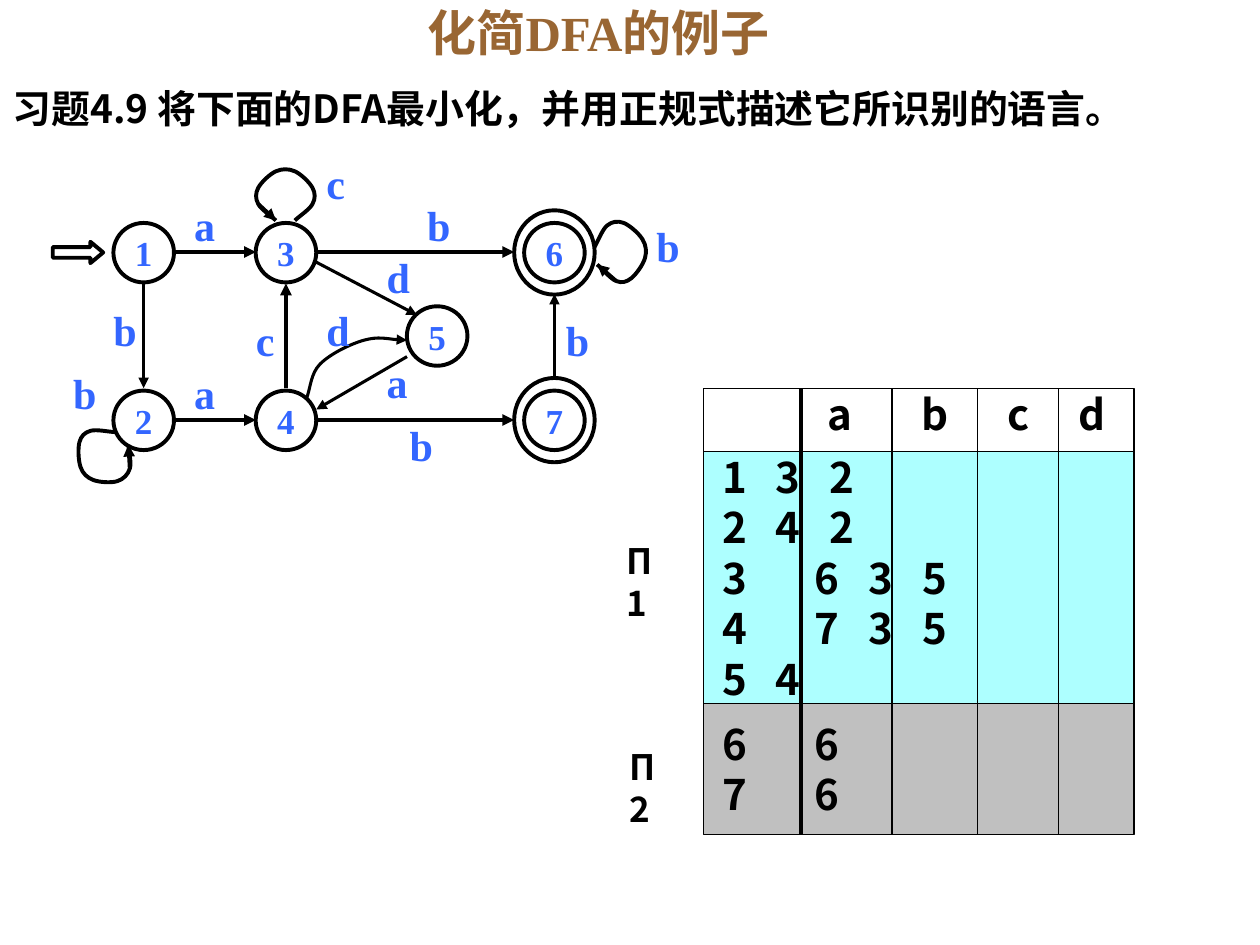
from dataclasses import dataclass
from typing import Optional

from lxml.etree import SubElement
from pptx import Presentation
from pptx.dml.color import RGBColor
from pptx.enum.shapes import MSO_CONNECTOR, MSO_SHAPE
from pptx.enum.text import MSO_ANCHOR, MSO_AUTO_SIZE, PP_ALIGN
from pptx.oxml.ns import qn
from pptx.util import Pt

COLORS = {"title": "996633", "label": "3366FF", "ink": "000000",
          "group1": "ADFFFF", "group2": "C0C0C0"}
SERIF, SANS = "Times New Roman", "Noto Sans CJK SC"


@dataclass
class State:
    name: str
    x: float
    y: float
    final: bool = False


@dataclass
class Edge:
    start: tuple
    end: tuple
    width: float = 2.25
    arrow: bool = True


@dataclass
class Label:
    text: str
    x: float
    y: float
    width: float = 13.7


STATES = [State("1", 82.1, 144.4), State("3", 163.4, 144.4), State("6", 316.8, 144.4, True),
          State("5", 249.8, 192), State("2", 82.1, 240.2), State("4", 163.4, 240.2),
          State("7", 316.8, 240.2, True)]
EDGES = [Edge((99.4, 144), (146.2, 144)), Edge((180.7, 144), (293.8, 144)),
         Edge((99.4, 240), (146.2, 240)), Edge((180.7, 240), (293.8, 240)),
         Edge((163.4, 221.8), (163.4, 162)), Edge((82.1, 162), (82.1, 221.8), 1.75),
         Edge((316.8, 216), (316.8, 168), 1.75), Edge((180.7, 149.8), (238.3, 180), 1.75),
         Edge((232.6, 203.8), (180.7, 234), 1.75)]
LOOPS = [  # anchor points of the self-loops at states 3, 6 and 2
    [(168.5, 126), (178.6, 116.6), (178.6, 107.3), (168.5, 97.9),
     (157.7, 97.9), (147.6, 107.3), (147.6, 116.6), (157.7, 126)],
    [(339.8, 141.1), (347, 128.9), (356.4, 127.4), (367.2, 136.8),
     (368.6, 147.6), (360.7, 159.1), (352.1, 160.6), (341.3, 151.2)],
    [(66.2, 247), (51.8, 246.2), (45.4, 252.7), (46.1, 267.1),
     (53.3, 274.3), (67, 275), (74.2, 267.8), (73.4, 254.2)]]
ARC_4_TO_5 = [(175, 228.2), (182.9, 208.1), (208.1, 194.4), (232.6, 194.4)]
EDGE_LABELS = [Label("c", 186.5, 90, 10.8), Label("a", 110.9, 113.8, 12.2),
               Label("b", 244.1, 113.8), Label("b", 375.1, 126), Label("d", 221, 144),
               Label("d", 186.5, 174.2), Label("b", 64.8, 174.2), Label("c", 146.2, 180, 10.8),
               Label("b", 323.3, 180), Label("a", 221, 203.8, 12.2), Label("b", 41.8, 210.2),
               Label("a", 110.9, 210.2, 12.2), Label("b", 234, 239.8)]

# Transition table: frame, dividers and rows with the tab stops of their values
TABLE_LEFT, TABLE_TOP, TABLE_WIDTH, TABLE_BOTTOM = 401.8, 222, 246.2, 477
FIRST_VALUE = 10.8
HEADERS = [Label("a", 473, 222, 14.4), Label("b", 526.3, 222, 15.1),
           Label("c", 576, 222, 12.2), Label("d", 616.3, 222, 15.1)]
DIVIDERS = [(457.9, 2.25), (509.8, 0.75), (558.7, 0.75), (604.8, 0.75)]
NEAR_STOPS, FAR_STOPS = (30.6, 61.2), (53.1, 83.7, 114.3)
GROUP1 = [("1\t3\t2", NEAR_STOPS), ("2\t4\t2", NEAR_STOPS), ("3\t6\t3\t5", FAR_STOPS),
          ("4\t7\t3\t5", FAR_STOPS), ("5\t4", NEAR_STOPS)]
GROUP2 = [("6\t6", FAR_STOPS), ("7\t6", FAR_STOPS)]
PARTITIONS = [Label("Π1", 357.8, 308.2, 26.6), Label("Π2", 360, 426.2, 26.6)]


def rgb(name: str) -> RGBColor:
    return RGBColor.from_string(COLORS[name])


def add_span(para, text: str, *, size: float, font: str = SERIF, color: str = "label") -> None:
    span = para.add_run()
    span.text = text
    span.font.size, span.font.bold, span.font.name = Pt(size), True, font
    span.font.color.rgb = rgb(color)
    if font == SANS:
        SubElement(span.font._element, qn("a:ea")).set("typeface", font)


def set_frame(frame, *, margins: tuple = (0, 0, 0, 0), wrap: bool = True,
              anchor=MSO_ANCHOR.TOP) -> None:
    frame.word_wrap = wrap
    frame.auto_size = MSO_AUTO_SIZE.SHAPE_TO_FIT_TEXT
    frame.vertical_anchor = anchor
    (frame.margin_left, frame.margin_top,
     frame.margin_right, frame.margin_bottom) = map(Pt, margins)


def add_label(page, label: Label, *, height: float = 28.8, wrap: bool = False, **style) -> None:
    box = page.shapes.add_textbox(Pt(label.x), Pt(label.y), Pt(label.width), Pt(height))
    set_frame(box.text_frame, wrap=wrap)
    add_span(box.text_frame.paragraphs[0], label.text, **style)


def outline(shape, width: float = 2.25, arrow: bool = False) -> None:
    shape.line.color.rgb = rgb("ink")
    shape.line.width = Pt(width)
    if arrow:
        SubElement(shape.line._get_or_add_ln(), qn("a:tailEnd")).set("type", "triangle")


def add_outlined(page, kind, x: float, y: float, width: float, height: float, *,
                 fill: Optional[str] = None, weight: float = 2.25):
    shape = page.shapes.add_shape(kind, Pt(x), Pt(y), Pt(width), Pt(height))
    shape.shadow.inherit = False
    if fill:
        shape.fill.solid()
        shape.fill.fore_color.rgb = rgb(fill)
    else:
        shape.fill.background()
    outline(shape, weight)
    return shape


def add_state(page, state: State) -> None:
    if state.final:
        add_outlined(page, MSO_SHAPE.OVAL, state.x - 23, state.y - 24.2, 46, 48.2)
    circle = add_outlined(page, MSO_SHAPE.OVAL, state.x - 17.3, state.y - 17, 34.6, 34)
    set_frame(circle.text_frame, anchor=MSO_ANCHOR.MIDDLE)
    para = circle.text_frame.paragraphs[0]
    para.alignment = PP_ALIGN.CENTER
    add_span(para, state.name, size=20)


def add_edge(page, edge: Edge) -> None:
    line = page.shapes.add_connector(MSO_CONNECTOR.STRAIGHT,
                                     *map(Pt, edge.start + edge.end))
    outline(line, edge.width, edge.arrow)
    SubElement(line._element.spPr, qn("a:effectLst"))


def bezier_points(anchors: list) -> list:
    """Two control points and an end point for each step of a smooth curve."""
    def beyond(end, inner):
        return tuple(2 * e - i for e, i in zip(end, inner))
    padded = [beyond(anchors[0], anchors[1]), *anchors, beyond(anchors[-1], anchors[-2])]
    points = []
    for before, start, end, after in zip(padded, padded[1:], padded[2:], padded[3:]):
        points.append(tuple(s + (e - b) / 6 for b, s, e in zip(before, start, end)))
        points.append(tuple(e - (a - s) / 6 for s, e, a in zip(start, end, after)))
        points.append(end)
    return points


def add_curve(page, anchors: list, width: float = 2.25, arrow: bool = False) -> None:
    builder = page.shapes.build_freeform(*map(Pt, anchors[0]))
    builder.add_line_segments([tuple(map(Pt, point)) for point in bezier_points(anchors)],
                              close=False)
    curve = builder.convert_to_shape()
    # Join each three line segments into one Bézier segment
    segments = list(curve._element.iter(qn("a:lnTo")))
    outline_path = segments[0].getparent()
    for first in range(0, len(segments), 3):
        bezier = SubElement(outline_path, qn("a:cubicBezTo"))
        for segment in segments[first:first + 3]:
            bezier.append(segment[0])
            outline_path.remove(segment)
    curve.shadow.inherit = False
    curve.fill.background()
    outline(curve, width, arrow)


def add_group(page, rows: list, top: float, height: float, fill: str, padding: float) -> None:
    band = add_outlined(page, MSO_SHAPE.RECTANGLE, TABLE_LEFT, top, TABLE_WIDTH, height,
                        fill=fill, weight=0.75)
    frame = band.text_frame
    set_frame(frame, margins=(FIRST_VALUE, padding, 0, padding))
    for index, (text, stops) in enumerate(rows):
        para = frame.add_paragraph() if index else frame.paragraphs[0]
        para.alignment = PP_ALIGN.LEFT
        tabs = SubElement(para._p.get_or_add_pPr(), qn("a:tabLst"))
        for stop in stops:
            SubElement(tabs, qn("a:tab"), pos=str(Pt(stop)), algn="l")
        add_span(para, text, size=24, font=SANS, color="ink")


def add_transition_table(page) -> None:
    add_outlined(page, MSO_SHAPE.RECTANGLE, TABLE_LEFT, TABLE_TOP, TABLE_WIDTH, 252, weight=0.75)
    add_edge(page, Edge((TABLE_LEFT, 258), (558, 258), 0.75, arrow=False))
    add_group(page, GROUP1, 258, 144, "group1", 0)
    add_group(page, GROUP2, 402, 75, "group2", 8.6)
    for x, width in DIVIDERS:
        add_edge(page, Edge((x, TABLE_TOP), (x, TABLE_BOTTOM), width, arrow=False))
    for header in HEADERS:
        add_label(page, header, size=24, font=SANS, color="ink")
    for partition in PARTITIONS:
        add_label(page, partition, height=24, wrap=True, size=20, font=SANS, color="ink")


def main() -> None:
    deck = Presentation()
    deck.slide_width, deck.slide_height = Pt(720), Pt(540)
    page = deck.slides.add_slide(deck.slide_layouts[5])

    # Title and exercise
    title = page.shapes.title
    title.left, title.top, title.width, title.height = Pt(18), Pt(0), Pt(648), Pt(36)
    title.text_frame.vertical_anchor = MSO_ANCHOR.MIDDLE
    title.text_frame.paragraphs[0].alignment = PP_ALIGN.CENTER
    add_span(title.text_frame.paragraphs[0], "化简DFA的例子", size=28, color="title")
    exercise = page.shapes.add_textbox(Pt(0), Pt(48), Pt(708), Pt(36)).text_frame
    exercise.word_wrap = True
    exercise.paragraphs[0].line_spacing = 0.9
    add_span(exercise.paragraphs[0], "习题4.9 将下面的DFA最小化，并用正规式描述它所识别的语言。",
             size=22.2, font=SANS, color="ink")

    # Automaton
    start = add_outlined(page, MSO_SHAPE.RIGHT_ARROW, 30.2, 138.2, 28.8, 12.2)
    start.adjustments[1] = 0.6
    for state in STATES:
        add_state(page, state)
    for edge in EDGES:
        add_edge(page, edge)
    for loop in LOOPS:
        add_curve(page, loop)
        add_edge(page, Edge(loop[-2], loop[-1]))
    add_curve(page, ARC_4_TO_5, 1.75, arrow=True)
    for label in EDGE_LABELS:
        add_label(page, label, size=24)

    # Transition table with its partition labels
    add_transition_table(page)
    deck.save("out.pptx")


if __name__ == "__main__":
    main()
